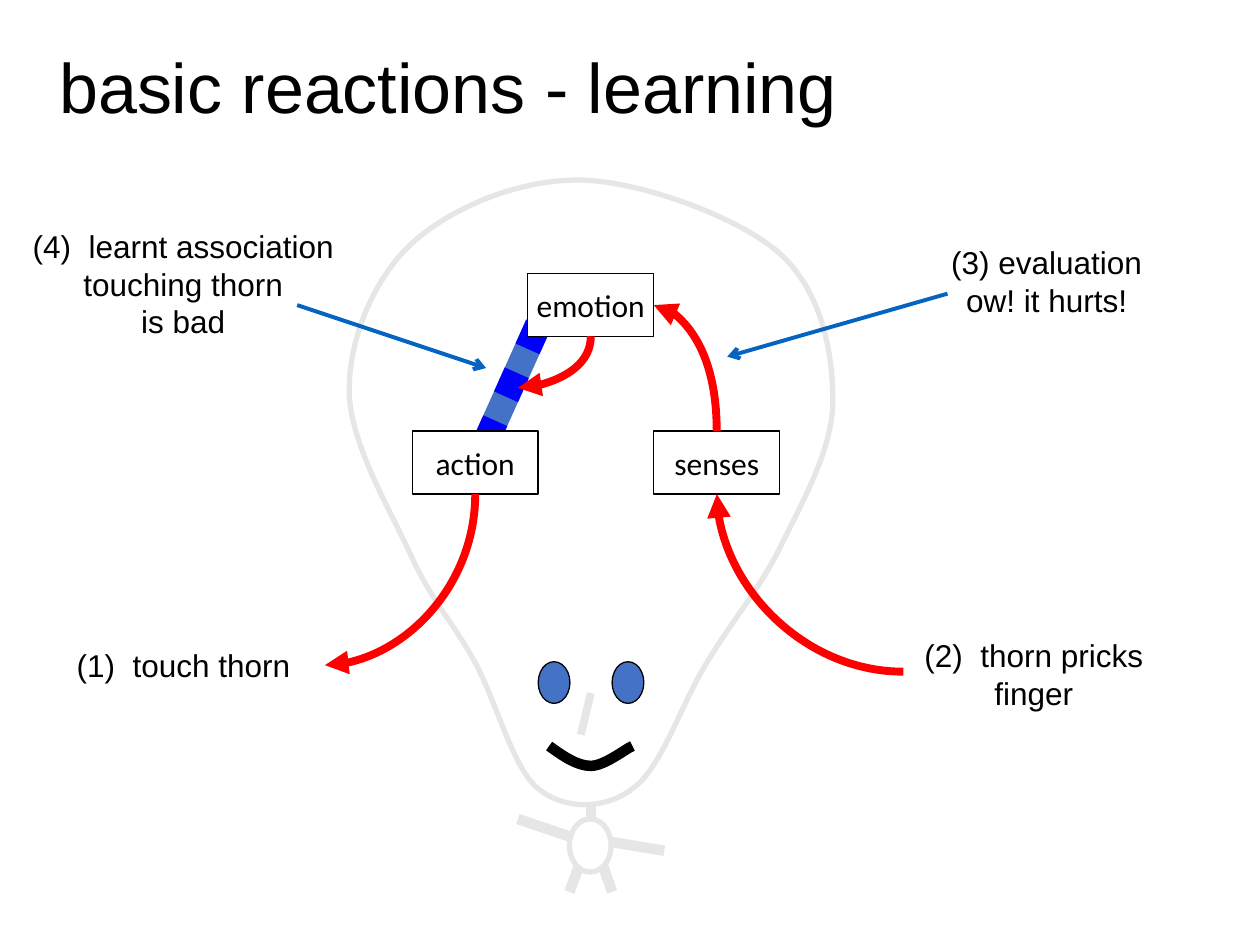
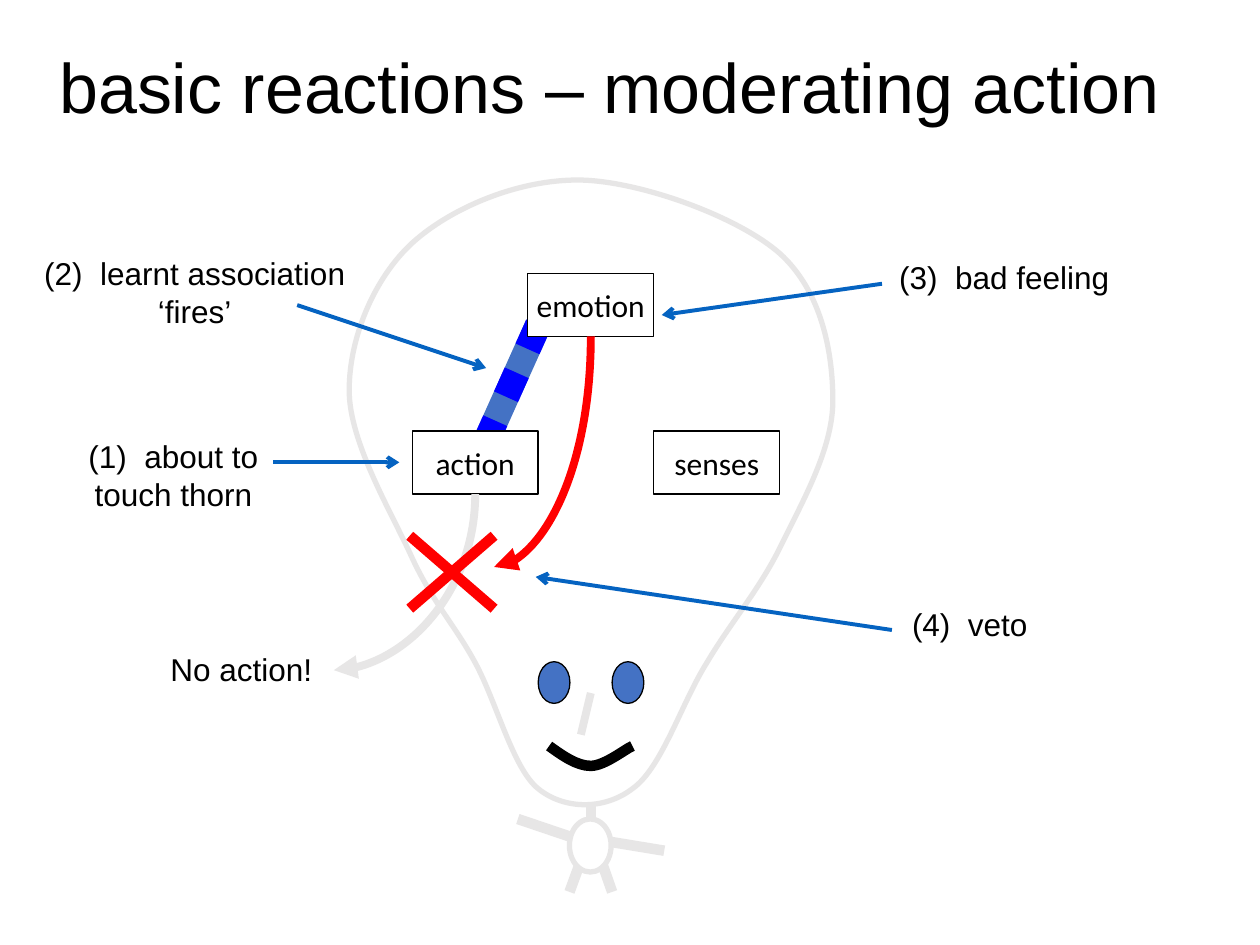
from lxml.etree import SubElement
from pptx import Presentation
from pptx.dml.color import RGBColor as RGB
from pptx.enum.dml import MSO_LINE
from pptx.enum.shapes import MSO_CONNECTOR as CONN, MSO_SHAPE as SHAPE
from pptx.enum.text import MSO_ANCHOR as ANCHOR, MSO_AUTO_SIZE as FIT, PP_ALIGN as ALIGN
from pptx.oxml.ns import qn
from pptx.util import Cm, Pt

BLACK = RGB(0x00, 0x00, 0x00)
WHITE = RGB(0xFF, 0xFF, 0xFF)
GREY = RGB(0xE7, 0xE6, 0xE6)
RED = RGB(0xFF, 0x00, 0x00)
EYE_BLUE = RGB(0x44, 0x72, 0xC4)
STRIPE_BLUE = RGB(0x00, 0x00, 0xFF)
POINTER_BLUE = RGB(0x05, 0x63, 0xC1)

HEAD = [
    (11.71, 3.63),
    (10.46, 3.61), (9.09, 4.19), (8.31, 4.9),
    (7.54, 5.61), (7.04, 6.81), (7.04, 7.87),
    (7.04, 8.92), (7.9, 10.34), (8.31, 11.25),
    (8.74, 12.17), (9.17, 12.6), (9.58, 13.36),
    (10.01, 14.15), (10.34, 15.49), (10.85, 15.9),
    (11.38, 16.33), (12.19, 16.33), (12.75, 15.9),
    (13.34, 15.49), (13.74, 14.17), (14.25, 13.36),
    (14.73, 12.55), (15.29, 11.91), (15.72, 11.05),
    (16.15, 10.16), (16.79, 9.07), (16.79, 8.08),
    (16.79, 7.09), (16.56, 5.87), (15.72, 5.11),
    (14.88, 4.37), (12.93, 3.66), (11.71, 3.63),
]
MOUTH = [
    (11.07, 15.04),
    (11.35, 15.24), (11.63, 15.44), (11.91, 15.44),
    (12.19, 15.44), (12.62, 15.09), (12.75, 15.04),
]
LIMBS = [
    ((10.44, 16.51), (11.71, 16.94)),
    ((12.12, 16.94), (13.39, 17.15)),
    ((12.12, 17.35), (12.34, 17.98)),
    ((11.71, 17.35), (11.48, 17.98)),
]
ACTION_BOTTOM = (9.58, 9.96)
EMOTION_BOTTOM = (11.91, 6.78)


class Deck:
    def __init__(self):
        self.prs = Presentation()
        self.prs.slide_width = Cm(25.4)
        self.prs.slide_height = Cm(19.05)

    def slide(self, title, width):
        s = self.prs.slides.add_slide(self.prs.slide_layouts[5])
        self.shapes = s.shapes
        sp = s.shapes.title
        sp.left, sp.top, sp.width, sp.height = Cm(0.94), Cm(0), Cm(width), Cm(3.68)
        tf = sp.text_frame
        tf.word_wrap = True
        tf.auto_size = FIT.NONE
        tf.vertical_anchor = ANCHOR.MIDDLE
        p = tf.paragraphs[0]
        p.line_spacing = 0.9
        self.set_text(p, title, 40, "Arial", ALIGN.LEFT)

    def set_text(self, p, text, size=18, font="Arial", align=ALIGN.CENTER):
        p.text = text
        p.alignment = align
        p.font.size = Pt(size)
        p.font.name = font
        p.font.color.rgb = BLACK

    def paint(self, sp, fill, color, weight):
        sp.shadow.inherit = False
        if fill is None:
            sp.fill.background()
        else:
            sp.fill.solid()
            sp.fill.fore_color.rgb = fill
        sp.line.color.rgb = color
        sp.line.width = Pt(weight)

    def shape(self, kind, x, y, w, h, fill=WHITE, color=BLACK, weight=0.75):
        sp = self.shapes.add_shape(kind, Cm(x), Cm(y), Cm(w), Cm(h))
        self.paint(sp, fill, color, weight)
        return sp

    def box(self, text, x, y):
        tf = self.shape(SHAPE.RECTANGLE, x, y, 2.54, 1.27).text_frame
        tf.word_wrap = False
        tf.vertical_anchor = ANCHOR.MIDDLE
        self.set_text(tf.paragraphs[0], text, font="Calibri")

    def label(self, text, x, y, w, h):
        sp = self.shapes.add_textbox(Cm(x), Cm(y), Cm(w), Cm(h))
        tf = sp.text_frame
        tf.word_wrap = True
        tf.auto_size = FIT.SHAPE_TO_FIT_TEXT
        self.set_text(tf.paragraphs[0], text)

    def outline(self, points, fill, color, weight, close):
        pts = [(Cm(x), Cm(y)) for x, y in points]
        fb = self.shapes.build_freeform(*pts[0])
        fb.add_line_segments(pts[1:], close=close)
        sp = fb.convert_to_shape()
        segments = sp.element.xpath(".//a:lnTo")
        for i in range(0, len(points) - 1, 3):
            first, *rest = segments[i:i + 3]
            first.tag = qn("a:cubicBezTo")
            for segment in rest:
                first.append(segment[0])
                segment.getparent().remove(segment)
        self.paint(sp, fill, color, weight)

    def line(self, start, end, color, weight, tail=None, dash=None, kind=CONN.STRAIGHT):
        c = self.shapes.add_connector(kind, *(Cm(v) for v in (*start, *end)))
        c.line.color.rgb = color
        c.line.width = Pt(weight)
        if dash:
            c.line.dash_style = dash
        if tail:
            SubElement(c.element.spPr.get_or_add_ln(), qn("a:tailEnd"), type=tail)
        SubElement(c.element.spPr, qn("a:effectLst"))
        return c

    def pointer(self, start, end):
        self.line(start, end, POINTER_BLUE, 2.25, "arrow")

    def curve(self, start, end, color=RED, rot=90):
        (x1, y1), (x2, y2) = start, end
        w, h = abs(x2 - x1), abs(y2 - y1)
        if rot == 90:
            w, h = h, w
        left, top = (x1 + x2 - w) / 2, (y1 + y2 - h) / 2
        c = self.line((left, top), (left + w, top + h), color, 4.5, "triangle", kind=CONN.CURVE)
        c.element.xpath(".//a:prstGeom")[0].set("prst", "curvedConnector2")
        xfrm = c.element.xpath(".//a:xfrm")[0]
        xfrm.set("rot", str(rot * 60000))
        if rot == 90 and y2 < y1:
            xfrm.set("flipH", "1")

    def figure(self):
        self.line((11.91, 16.08), (11.91, 16.71), GREY, 6)
        self.outline(HEAD, WHITE, GREY, 3, True)
        for x in (10.85, 12.34):
            self.shape(SHAPE.OVAL, x, 13.34, 0.64, 0.84, EYE_BLUE)
        self.outline(MOUTH, None, BLACK, 6, False)
        self.line((11.91, 13.97), (11.71, 14.81), GREY, 4.5)
        for start, end in LIMBS:
            self.line(start, end, GREY, 6)
        self.shape(SHAPE.OVAL, 11.48, 16.51, 0.84, 1.07, WHITE, GREY, 3)

    def association(self):
        ends = (10.85, 6.55), (9.8, 8.89)
        self.line(*ends, EYE_BLUE, 15)
        self.line(*ends, STRIPE_BLUE, 15, dash=MSO_LINE.ROUND_DOT)
        self.pointer((5.99, 6.15), (9.8, 7.42))

    def mind(self):
        self.figure()
        self.association()
        self.box("senses", 13.18, 8.69)
        self.box("action", 8.31, 8.69)
        self.box("emotion", 10.64, 5.51)


def learning(deck):
    deck.slide("basic reactions - learning", 21.89)
    deck.mind()
    deck.curve(ACTION_BOTTOM, (6.55, 13.41))
    deck.label("(1)  touch thorn", 0.84, 12.9, 5.72, 1.02)
    deck.curve((18.21, 13.54), (14.45, 9.96), rot=180)
    deck.label("(2)  thorn pricks finger", 17.98, 12.7, 5.72, 1.78)
    deck.curve((14.45, 8.69), (13.18, 6.15))
    deck.pointer((19.1, 5.92), (14.66, 7.19))
    deck.label("(3) evaluation\now! it hurts!", 18.9, 4.78, 4.4, 1.78)
    deck.curve(EMOTION_BOTTOM, (10.44, 7.82))
    deck.label("(4)  learnt association\ntouching thorn\nis bad", 0.2, 4.45, 6.99, 2.54)


def moderating(deck):
    deck.slide("basic reactions – moderating action", 23.65)
    deck.mind()
    deck.curve(ACTION_BOTTOM, (6.73, 13.51), GREY)
    deck.label("(1)  about to\ntouch thorn", 0, 8.69, 6.99, 1.78)
    deck.pointer((5.51, 9.32), (8.05, 9.32))
    deck.label("(2)  learnt association\n‘fires’", 0.43, 5, 6.99, 1.78)
    deck.label("(3)  bad feeling", 17.78, 5.08, 4.93, 1.02)
    deck.pointer((17.78, 5.72), (13.34, 6.35))
    deck.curve(EMOTION_BOTTOM, (9.96, 11.43))
    deck.label("(4)  veto", 17.35, 12.07, 4.4, 1.02)
    deck.pointer((17.98, 12.7), (10.8, 11.63))
    deck.line((8.26, 10.8), (9.96, 12.27), RED, 6)
    deck.line((9.96, 10.8), (8.26, 12.27), RED, 6)
    deck.label("No action!", 3, 12.98, 3.73, 1.02)


def main():
    deck = Deck()
    learning(deck)
    moderating(deck)
    deck.prs.save("out.pptx")


if __name__ == "__main__":
    main()
